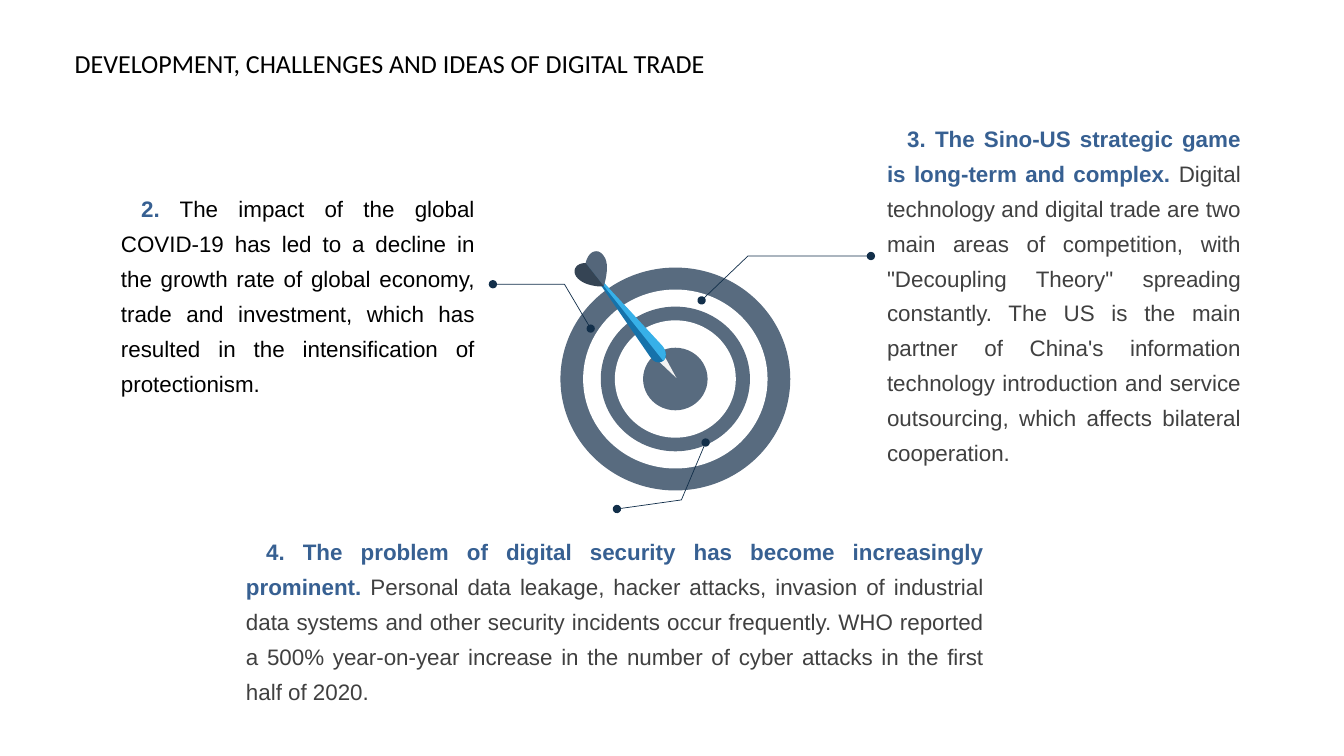
from dataclasses import dataclass

import lxml.etree
import pptx
import pptx.dml.color
import pptx.enum.shapes
import pptx.enum.text
import pptx.oxml.ns
import pptx.shapes.autoshape
import pptx.shapes.shapetree
import pptx.slide
import pptx.util

RGBColor = pptx.dml.color.RGBColor
Point = tuple[float, float]
Segment = tuple[Point, ...]  # one point: a line; three points: a cubic curve

CELL = pptx.util.Inches(0.1)  # side of a grid square
COLUMNS, ROWS = 133.33, 75
CURVE_STEPS = 10

BLACK = RGBColor(0x00, 0x00, 0x00)
WHITE = RGBColor(0xFF, 0xFF, 0xFF)
HEADING_BLUE = RGBColor(0x37, 0x60, 0x92)
BODY_GREY = RGBColor(0x40, 0x40, 0x40)
RING_SLATE = RGBColor(0x58, 0x6B, 0x7F)
LEADER_NAVY = RGBColor(0x12, 0x2F, 0x4A)
NEEDLE_GREY = RGBColor(0xF2, 0xF2, 0xF2)
SHAFT_DARK = RGBColor(0x16, 0x72, 0xAA)
SHAFT_LIGHT = RGBColor(0x37, 0xB0, 0xE8)
FLIGHT_SLATE = RGBColor(0x54, 0x66, 0x7A)
FLIGHT_DARK = RGBColor(0x35, 0x44, 0x54)


@dataclass
class Argument:
    column: float
    row: float
    width: float
    height: float
    heading: str
    body: str
    body_color: RGBColor


@dataclass
class DartPart:
    color: RGBColor
    start: Point
    segments: list[Segment]


ARGUMENTS = [
    Argument(12, 18.6, 35.1, 21, "2.",
             " The impact of the global COVID-19 has led to a decline in the growth rate of "
             "global economy, trade and investment, which has resulted in the "
             "intensification of protectionism.", BLACK),
    Argument(88, 11.6, 35.1, 35,
             "3. The Sino-US strategic game is long-term and complex. ",
             "Digital technology and digital trade are two main areas of competition, with "
             "\"Decoupling Theory\" spreading constantly. The US is the main partner of "
             "China's information technology introduction and service outsourcing, which "
             "affects bilateral cooperation.", BODY_GREY),
    Argument(24.4, 52.6, 73.2, 17.5,
             "4. The problem of digital security has become increasingly prominent. ",
             "Personal data leakage, hacker attacks, invasion of industrial data systems and "
             "other security incidents occur frequently. WHO reported a 500% year-on-year "
             "increase in the number of cyber attacks in the first half of 2020.", BODY_GREY),
]

TARGET_CENTER: Point = (67, 37.6)
RING_WIDTHS = [22.8, 18.3, 14.8, 12, 6.4]
RING_ASPECT = 0.97

SHAFT_END: Point = (58.1, 26.1)
FLIGHT_BASE: Point = (59.9, 28.4)
DART = [
    DartPart(NEEDLE_GREY, (65.9, 35.3),
             [((67.1, 37.5),), ((65.3, 35.8),), ((65.1, 35.6), (65.7, 35), (65.9, 35.3))]),
    DartPart(SHAFT_DARK, (65.7, 34.4),
             [(SHAFT_END,), ((64.5, 35.4),), ((65.3, 36.7), (66.8, 35.5), (65.7, 34.4))]),
    DartPart(SHAFT_LIGHT, SHAFT_END,
             [((65.8, 35.8),), ((66.1, 35.5), (66.2, 34.9), (65.7, 34.3))]),
    DartPart(FLIGHT_SLATE, FLIGHT_BASE,
             [((60.1, 27.8), (60.5, 26.1), (59.9, 25.4)),
              ((59.4, 24.6), (58.4, 24.8), SHAFT_END)]),
    DartPart(FLIGHT_DARK, FLIGHT_BASE,
             [((59.4, 28.5), (57.9, 28.3), (57.3, 27.6)),
              ((56.7, 27), (57, 26.1), SHAFT_END)]),
]

LEADERS: list[list[Point]] = [
    [(58.6, 32.6), (56, 28.2), (48.9, 28.2)],
    [(70, 43.9), (67.6, 49.6), (61.2, 50.5)],
    [(69.6, 29.8), (74.2, 25.4), (86.4, 25.4)],
]


def cells(*counts: float) -> list[int]:
    return [round(count * CELL) for count in counts]


def flatten(start: Point, segments: list[Segment]) -> list[Point]:
    """Turn lines and cubic curves into one run of points."""
    points = [start]
    for segment in segments:
        if len(segment) == 1:
            points.append(segment[0])
            continue
        corners = (points[-1], *segment)
        for step in range(1, CURVE_STEPS + 1):
            t = step / CURVE_STEPS
            weights = ((1 - t) ** 3, 3 * t * (1 - t) ** 2, 3 * t * t * (1 - t), t ** 3)
            points.append((sum(w * c[0] for w, c in zip(weights, corners)),
                           sum(w * c[1] for w, c in zip(weights, corners))))
    return points


def draw_outline(shapes: pptx.shapes.shapetree._BaseGroupShapes, points: list[Point],
                 close: bool) -> pptx.shapes.autoshape.Shape:
    start, *rest = [tuple(cells(*point)) for point in points]
    builder = shapes.build_freeform(*start)
    builder.add_line_segments(rest, close=close)
    outline = builder.convert_to_shape()
    outline.shadow.inherit = False
    return outline


def fill_plain(shape: pptx.shapes.autoshape.Shape, color: RGBColor) -> None:
    shape.fill.solid()
    shape.fill.fore_color.rgb = color
    shape.line.fill.background()


def draw_target(slide: pptx.slide.Slide) -> None:
    shapes = slide.shapes.add_group_shape().shapes
    center_x, center_y = TARGET_CENTER
    for index, width in enumerate(RING_WIDTHS):
        height = width * RING_ASPECT
        ring = shapes.add_shape(
            pptx.enum.shapes.MSO_SHAPE.OVAL,
            *cells(center_x - width / 2, center_y - height / 2, width, height))
        ring.shadow.inherit = False
        fill_plain(ring, WHITE if index % 2 else RING_SLATE)
    for part in DART:
        fill_plain(draw_outline(shapes, flatten(part.start, part.segments), True), part.color)


def draw_leader(slide: pptx.slide.Slide, points: list[Point]) -> None:
    leader = draw_outline(slide.shapes, points, False)
    leader.fill.background()
    leader.line.color.rgb = LEADER_NAVY
    leader.line.width = pptx.util.Pt(0.5)
    line = leader.line._get_or_add_ln()
    for end in ("a:headEnd", "a:tailEnd"):
        lxml.etree.SubElement(line, pptx.oxml.ns.qn(end), type="oval")


def draw_argument(slide: pptx.slide.Slide, argument: Argument) -> None:
    box = slide.shapes.add_textbox(
        *cells(argument.column, argument.row, argument.width, argument.height))
    frame = box.text_frame
    frame.word_wrap = True
    frame.margin_left = frame.margin_right = frame.margin_top = frame.margin_bottom = 0
    paragraph = frame.paragraphs[0]
    paragraph.alignment = pptx.enum.text.PP_ALIGN.JUSTIFY
    paragraph.line_spacing = 1.3
    paragraph._p.get_or_add_pPr().set("indent", str(2 * CELL))
    for text, color, bold in ((argument.heading, HEADING_BLUE, True),
                              (argument.body, argument.body_color, False)):
        run = paragraph.add_run()
        run.text = text
        run.font.name, run.font.size = "Arial", pptx.util.Pt(16)
        run.font.bold = bold
        run.font.color.rgb = color


def set_title(slide: pptx.slide.Slide, text: str) -> None:
    title = slide.shapes.title
    title.left, title.top, title.width, title.height = cells(6.4, 4.2, 112.1, 4.1)
    frame = title.text_frame
    frame.text = text
    frame.word_wrap = True
    frame.auto_size = pptx.enum.text.MSO_AUTO_SIZE.NONE
    frame.vertical_anchor = pptx.enum.text.MSO_ANCHOR.MIDDLE
    frame.paragraphs[0].alignment = pptx.enum.text.PP_ALIGN.LEFT
    font = frame.paragraphs[0].runs[0].font
    font.name, font.size = "Calibri", pptx.util.Pt(18.6)
    font.color.rgb = BLACK


def main() -> None:
    presentation = pptx.Presentation()
    presentation.slide_width, presentation.slide_height = cells(COLUMNS, ROWS)
    slide = presentation.slides.add_slide(presentation.slide_layouts.get_by_name("Title Only"))
    set_title(slide, "DEVELOPMENT, CHALLENGES AND IDEAS OF DIGITAL TRADE")
    draw_target(slide)
    for points in LEADERS:
        draw_leader(slide, points)
    for argument in ARGUMENTS:
        draw_argument(slide, argument)
    presentation.save("out.pptx")


if __name__ == "__main__":
    main()
